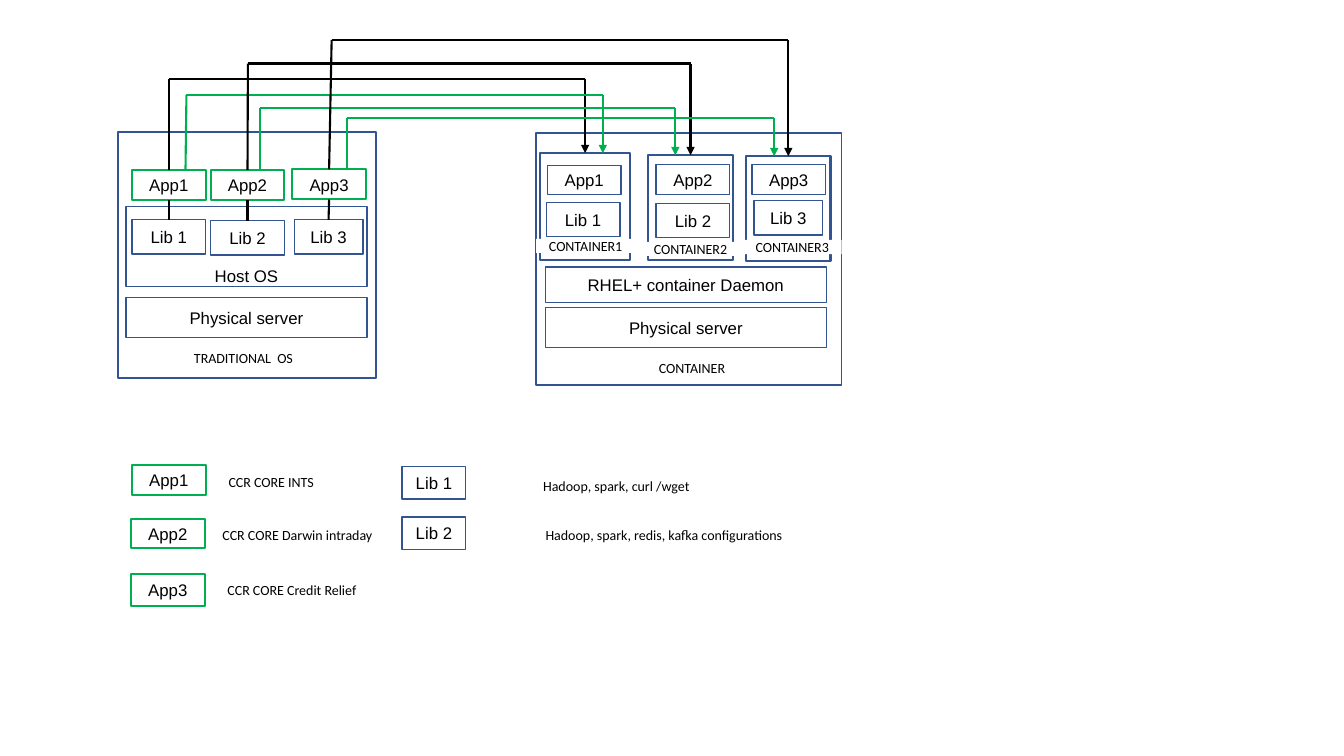
from pptx import Presentation
from pptx.dml.color import RGBColor
from pptx.enum import shapes, text
from pptx.oxml.ns import qn
from pptx.util import Pt
from lxml import etree

COLOURS = {"blue": "325491", "green": "00B050", "black": "000000", "white": "FFFFFF"}

# style: (fill, line, line width, font, size)
STYLES = {
    "app": (None, "green", 1.5, "Arial", 12),
    "box": (None, "blue", 1, "Arial", 12),
    "frame": (None, "blue", 1.5, "Arial", 12),
    "label": ("white", None, 0, "Calibri", 10),
}

# (text, style, left, top, width, height)
PANELS = [
    ("", "box", 84.2, 94.3, 184.3, 175.7),
    ("Physical server", "box", 90, 212.4, 172.1, 28.8),
    ("TRADITIONAL  OS", "label", 124.6, 244.1, 98.6, 23),
    ("", "box", 383, 95, 218.2, 180),
    ("RHEL+ container Daemon", "box", 389.5, 190.8, 200.9, 25.2),
    ("Physical server", "box", 389.5, 219.6, 200.9, 28.8),
    ("CONTAINER", "label", 445, 251.3, 98.6, 23),
]
HOST_OS = ("Host OS", "box", 90, 147.6, 172.1, 56.9)

# one entry per application: (left, top, width, height)
HOST_APPS = [(94.3, 121.7, 52.6, 20.9), (150.5, 121.3, 52.6, 21.6), (208.8, 120.9, 52.6, 21.6)]
HOST_LIBS = [(94.3, 157, 52.6, 24.5), (150.5, 157.7, 52.6, 24.5), (210.2, 157, 49, 24.5)]
CONTAINER_APPS = [(391, 118.1, 52.6, 20.9), (468.7, 117.4, 52.6, 21.6), (537.1, 117.4, 52.6, 21.6)]
CONTAINER_LIBS = [(390.2, 144.7, 52.6, 24.5), (468.7, 145.4, 52.6, 24.5), (538.6, 143.3, 49, 24.5)]
FRAMES = [(385.9, 109.4, 64.1, 76.3), (463, 110.9, 60.5, 74.9), (532.8, 111.6, 60.5, 74.9)]
FRAME_LABELS = [(383, 170.6, 70.6, 10.1), (457.9, 172.8, 70.6, 10.1), (530.6, 171.4, 70.6, 10.1)]

# (corner x, level y, arrow x)
BLACK_ROUTES = [(120.6, 56.2, 417.95), (177.1, 45.4, 493.25), (236.9, 28.6, 563.05)]
# (foot x, corner x, level y, arrow x)
GREEN_ROUTES = [(132.5, 133.2, 67.9, 430.6), (185.8, 185.8, 77, 482.4), (247.7, 247.7, 84.2, 553)]

LEGEND = [
    ("App1", "app", 94.3, 332.4, 52.6, 20.9),
    ("CCR CORE INTS", "label", 151.2, 332.6, 85, 23),
    ("App2", "app", 93.6, 370.8, 52.6, 20.9),
    ("CCR CORE Darwin intraday", "label", 151.2, 370.8, 122.4, 23),
    ("App3", "app", 93.6, 409.7, 52.6, 23),
    ("CCR CORE Credit Relief", "label", 154.1, 409.7, 108.7, 23),
    ("Lib 1", "box", 287.3, 333.4, 45.4, 23),
    ("Hadoop, spark, curl /wget ", "label", 338.4, 334.8, 205.9, 25.2),
    ("Lib 2", "box", 287.3, 369.4, 45.4, 23),
    ("Hadoop, spark, redis, kafka configurations", "label", 380.2, 372.2, 187.9, 19.4),
]


def rgb(name):
    return RGBColor.from_string(COLOURS[name])


def add_box(page, words, style, *place, anchor=text.MSO_ANCHOR.MIDDLE):
    fill, line, width, font, size = STYLES[style]
    box = page.shapes.add_shape(shapes.MSO_SHAPE.RECTANGLE, *map(Pt, place))
    box.shadow.inherit = False
    if fill:
        box.fill.solid()
        box.fill.fore_color.rgb = rgb(fill)
    else:
        box.fill.background()
    if line:
        box.line.color.rgb = rgb(line)
        box.line.width = Pt(width)
    else:
        box.line.fill.background()
    if words:
        frame_format = {"margin_left": 0, "margin_right": 0, "margin_top": 0,
                        "margin_bottom": 0, "word_wrap": False, "vertical_anchor": anchor}
        for name, value in frame_format.items():
            setattr(box.text_frame, name, value)
        para = box.text_frame.paragraphs[0]
        para.alignment = text.PP_ALIGN.CENTER
        span = para.add_run()
        span.text = words
        span.font.name, span.font.size = font, Pt(size)
        span.font.color.rgb = rgb("black")
    return box


def add_line(page, colour, start, end, arrow=False):
    line = page.shapes.add_connector(shapes.MSO_CONNECTOR.STRAIGHT, *map(Pt, start + end))
    line.line.color.rgb = rgb(colour)
    line.line.width = Pt(1.5)
    if arrow:
        etree.SubElement(line.line._get_or_add_ln(), qn("a:tailEnd"), type="triangle")
    etree.SubElement(line._element.spPr, qn("a:effectLst"))
    return line


def add_route(page, colour, foot, corner_x, level, tip):
    """Draw up from foot, across at level and down to tip; return first and last line."""
    rise = add_line(page, colour, foot, (corner_x, level))
    add_line(page, colour, (corner_x, level), (tip[0], level))
    return rise, add_line(page, colour, (tip[0], level), tip, arrow=True)


def main():
    deck = Presentation()
    deck.slide_width, deck.slide_height = Pt(960), Pt(540)
    page = deck.slides.add_slide(deck.slide_layouts[6])

    for panel in PANELS:
        add_box(page, *panel)
    add_box(page, *HOST_OS, anchor=text.MSO_ANCHOR.BOTTOM)

    for i in range(3):
        number = i + 1
        app = add_box(page, f"App{number}", "app", *HOST_APPS[i])
        lib = add_box(page, f"Lib {number}", "box", *HOST_LIBS[i])
        add_box(page, f"App{number}", "box", *CONTAINER_APPS[i])
        add_box(page, f"Lib {number}", "box", *CONTAINER_LIBS[i])
        frame = add_box(page, "", "frame", *FRAMES[i])
        add_box(page, f"CONTAINER{number}", "label", *FRAME_LABELS[i])

        link = add_line(page, "black", (0, 0), (0, 0))
        link.begin_connect(lib, 0)
        link.end_connect(app, 2)

        app_left, app_top, app_width, _ = HOST_APPS[i]
        frame_top = FRAMES[i][1]
        corner_x, level, arrow_x = BLACK_ROUTES[i]
        rise, drop = add_route(page, "black", (app_left + app_width / 2, app_top),
                               corner_x, level, (arrow_x, frame_top))
        rise.begin_connect(app, 0)
        drop.end_connect(frame, 0)

        foot_x, corner_x, level, arrow_x = GREEN_ROUTES[i]
        add_route(page, "green", (foot_x, app_top), corner_x, level, (arrow_x, frame_top))

    for entry in LEGEND:
        add_box(page, *entry)
    deck.save("out.pptx")


if __name__ == "__main__":
    main()
